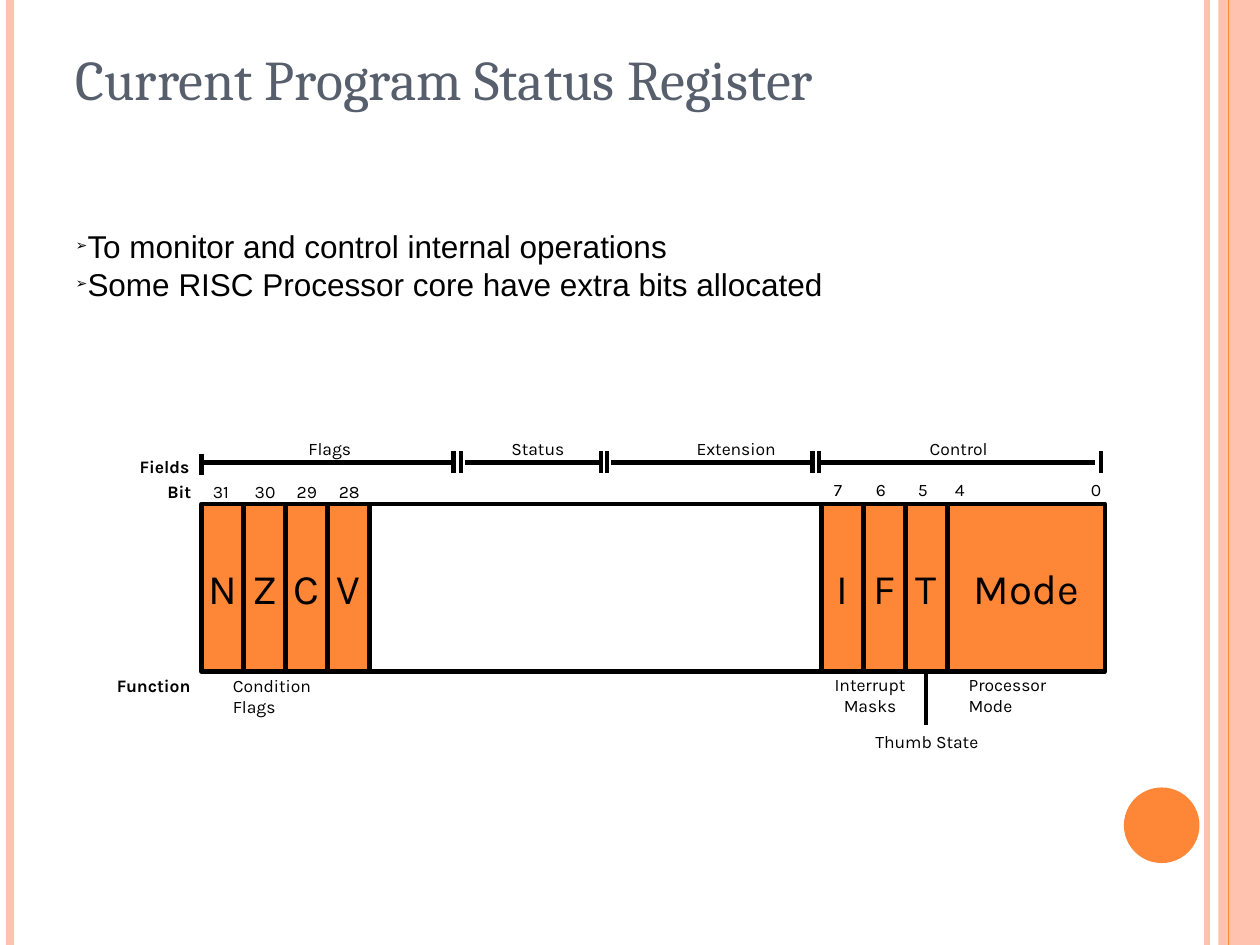
from lxml.etree import SubElement
from pptx import Presentation
from pptx.dml.color import RGBColor
from pptx.enum.shapes import MSO_CONNECTOR, MSO_SHAPE
from pptx.enum.text import MSO_ANCHOR, PP_ALIGN
from pptx.oxml.ns import qn
from pptx.util import Inches, Pt

COLORS = {"accent": "FE8637", "pale": "FEC2AE", "title": "575F6D", "ink": "000000"}
SLIDE_W, SLIDE_H = 10, 7.5
BIT_W, REGISTER_H = 1 / 3, 1.33
LINE_W = 2.5


def rgb(name):
    return RGBColor.from_string(COLORS[name])


def style(paragraph, font, size, color="ink", bold=False, align=PP_ALIGN.LEFT):
    paragraph.alignment = align
    paragraph.font.name = font
    paragraph.font.size = Pt(size)
    paragraph.font.bold = bold
    paragraph.font.color.rgb = rgb(color)


def place(shape, left, top, width, height):
    shape.left, shape.top = Inches(left), Inches(top)
    shape.width, shape.height = Inches(width), Inches(height)


def add_line(slide, x1, y1, x2, y2, color="ink", weight=LINE_W):
    line = slide.shapes.add_connector(
        MSO_CONNECTOR.STRAIGHT, Inches(x1), Inches(y1), Inches(x2), Inches(y2))
    line.line.color.rgb = rgb(color)
    line.line.width = Pt(weight)
    SubElement(line._element.spPr, qn("a:effectLst"))


def add_block(slide, kind, left, top, width, height, fill=None, outlined=False):
    block = slide.shapes.add_shape(
        kind, Inches(left), Inches(top), Inches(width), Inches(height))
    block.shadow.inherit = False
    if fill:
        block.fill.solid()
        block.fill.fore_color.rgb = rgb(fill)
    else:
        block.fill.background()
    if outlined:
        block.line.color.rgb = rgb("ink")
        block.line.width = Pt(LINE_W)
    else:
        block.line.fill.background()
    return block


def add_label(slide, text, left, top, width=1.17, height=0.27, **look):
    label = slide.shapes.add_textbox(
        Inches(left), Inches(top), Inches(width), Inches(height))
    label.text_frame.word_wrap = True
    label.text_frame.text = text
    style(label.text_frame.paragraphs[0], "Karla", 10, **look)


def add_frame(slide, width, height):
    """Stripes along both edges and the round badge."""
    for x, color, weight in [(width - 0.42, "pale", 3), (0.08, "pale", 4.5),
                             (width - 0.17, "accent", 1.5)]:
        add_line(slide, x, 0, x, height, color, weight)
    add_block(slide, MSO_SHAPE.RECTANGLE, width - 0.33, 0, 0.33, height, "pale")
    add_line(slide, width - 0.25, 0, width - 0.25, height, "accent", 0.75)
    add_block(slide, MSO_SHAPE.OVAL, width - 1.08, height - 1.25, 0.6, 0.6, "accent")


def fill_title(slide, text, left, top, width, height):
    title = slide.shapes.title
    place(title, left, top, width, height)
    title.text_frame.text = text
    title.text_frame.vertical_anchor = MSO_ANCHOR.TOP
    style(title.text_frame.paragraphs[0], "Cambria", 32, "title")


def fill_list(slide, items, left, top, width, height):
    body = slide.placeholders[1]
    place(body, left, top, width, height)
    body.text_frame.text = "\n".join(items)
    for paragraph in body.text_frame.paragraphs:
        style(paragraph, "Arial", 18, align=PP_ALIGN.JUSTIFY)
        paragraph.space_before = Pt(0)
        props = paragraph._p.get_or_add_pPr()
        props.set("marL", "0")
        props.set("indent", "0")
        bullet_size = SubElement(props, qn("a:buSzPct"))
        bullet_size.set("val", "45000")
        bullet = SubElement(props, qn("a:buChar"))
        bullet.set("char", "➢")
        # The default run properties must follow the bullet
        props.append(props.find(qn("a:defRPr")))


def add_register(slide, left, top):
    """Row of bit cells with their bit numbers above."""
    control = left + 4.92
    cells = [(left + i * BIT_W, BIT_W, name) for i, name in enumerate("NZCV")]
    cells.append((left + 4 * BIT_W, control - left - 4 * BIT_W, ""))
    cells += [(control + i * BIT_W, BIT_W, name) for i, name in enumerate("IFT")]
    cells.append((control + 3 * BIT_W, 1.25, "Mode"))
    for x, width, name in cells:
        cell = add_block(slide, MSO_SHAPE.RECTANGLE, x, top, width, REGISTER_H,
                         "accent" if name else None, outlined=True)
        if name:
            cell.text_frame.word_wrap = False
            cell.text_frame.vertical_anchor = MSO_ANCHOR.MIDDLE
            cell.text_frame.text = name
            style(cell.text_frame.paragraphs[0], "Karla", 24, align=PP_ALIGN.CENTER)

    for i in range(4):
        add_label(slide, str(31 - i), left - 0.01 + i * BIT_W, top - 0.23, 0.41)
    for i in range(3):
        add_label(slide, str(7 - i), control + i * BIT_W, top - 0.25, 0.41)
    add_label(slide, "4", left + 5.88, top - 0.25, 0.41)
    add_label(slide, "0", left + 6.96, top - 0.25, 0.41)


def add_fields(slide, left, top):
    """Ruler that names the four byte fields."""
    for x in (2, 2.06, 3.17, 3.22, 4.85, 4.9, 7.14):
        add_line(slide, left + x, top, left + x, top + 0.17)
    add_line(slide, left, top + 0.02, left, top + 0.19)
    fields = [("Flags", 0, 2, 0.75), ("Status", 2.09, 3.17, 2.36),
              ("Extension", 3.25, 4.84, 3.83), ("Control", 4.92, 7.09, 5.68)]
    for name, start, end, label_x in fields:
        add_line(slide, left + start, top + 0.09, left + end, top + 0.09)
        add_label(slide, name, left + label_x, top - 0.15)


def add_functions(slide, left, top):
    """Meaning of the bits, under the register."""
    add_label(slide, "Condition Flags", left + 0.15, top - 0.02, height=0.43)
    add_label(slide, "Processor Mode", left + 5.99, top - 0.03, height=0.43)
    add_label(slide, "Interrupt Masks", left + 4.89, top - 0.03, 0.83, 0.43,
              align=PP_ALIGN.CENTER)
    add_label(slide, "Thumb State", left + 5.25, top + 0.42)
    add_line(slide, left + 5.75, top, left + 5.75, top + 0.42)


def add_row_names(slide, left, top):
    for name, dx, dy in [("Fields", 0.18, 0), ("Bit", 0.4, 0.2), ("Function", 0, 1.74)]:
        add_label(slide, name, left + dx, top + dy, bold=True)


prs = Presentation()
prs.slide_width, prs.slide_height = Inches(SLIDE_W), Inches(SLIDE_H)
slide = prs.slides.add_slide(prs.slide_layouts[1])

add_frame(slide, SLIDE_W, SLIDE_H)
fill_title(slide, "Current Program Status Register", 0.5, 0.3, 8.17, 1.25)
fill_list(slide, ["To monitor and control internal operations",
                  "Some RISC Processor core have extra bits allocated"],
          0.5, 1.75, 8.17, 5.33)
add_register(slide, 1.6, 4)
add_fields(slide, 1.6, 3.58)
add_functions(slide, 1.6, 4 + REGISTER_H)
add_row_names(slide, 0.83, 3.57)

prs.save("out.pptx")
